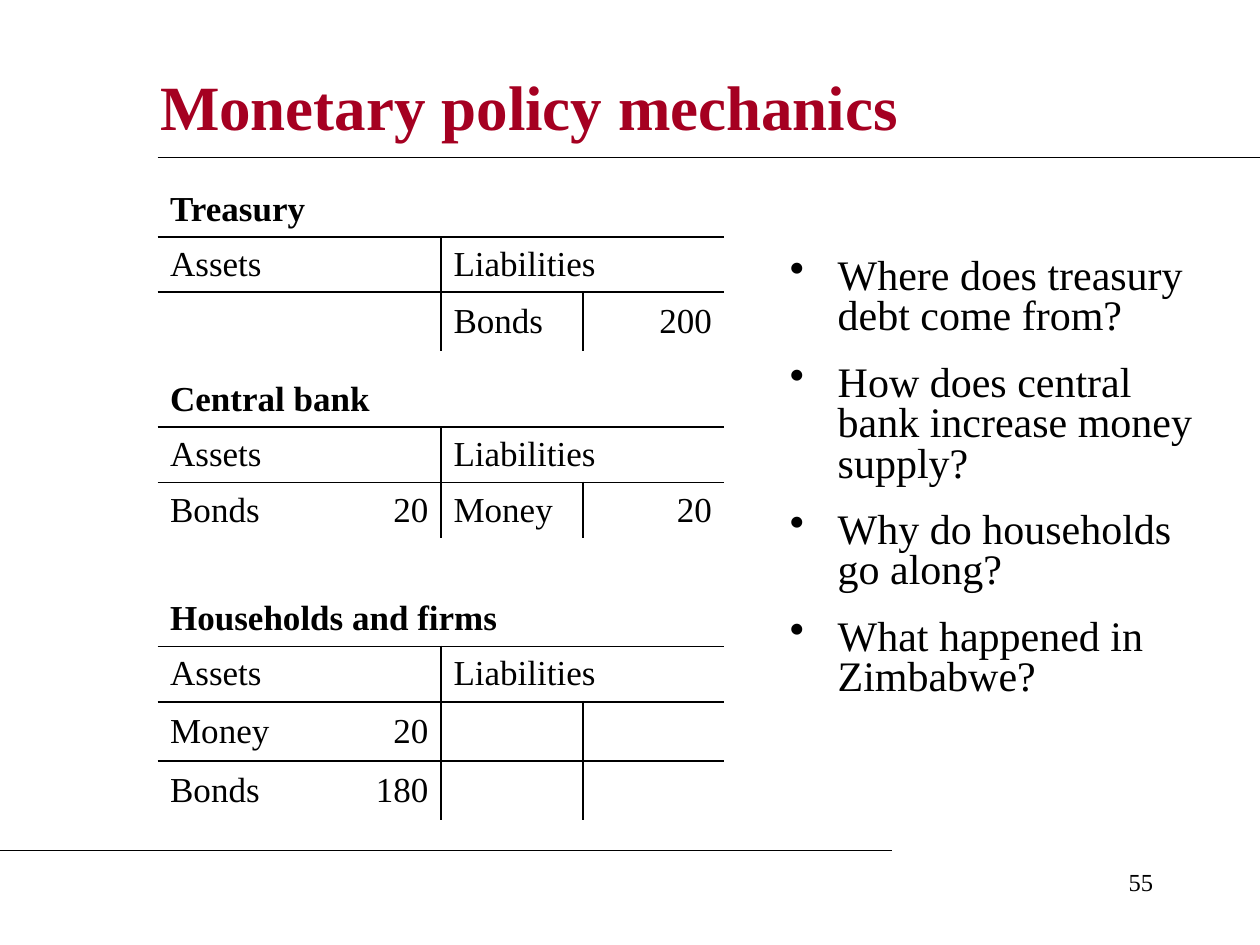
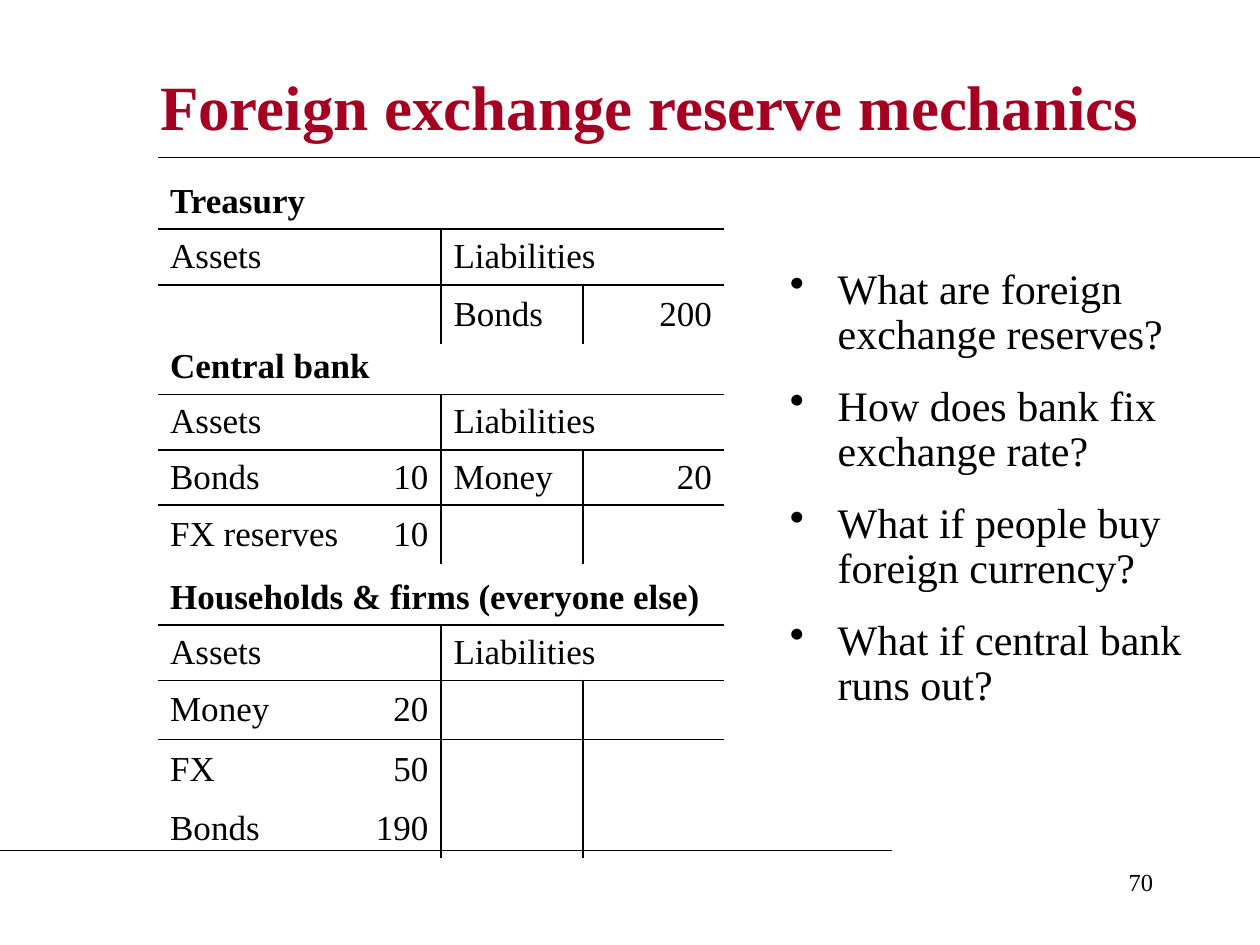
from lxml.etree import SubElement
from pptx import Presentation
from pptx.dml.color import RGBColor
from pptx.enum.shapes import MSO_CONNECTOR
from pptx.enum.text import MSO_ANCHOR, MSO_AUTO_SIZE, PP_ALIGN
from pptx.oxml.ns import qn
from pptx.util import Inches, Pt

BLACK = RGBColor(0x00, 0x00, 0x00)
CRIMSON = RGBColor(0xA5, 0x00, 0x21)
FONT = "Times New Roman"
NO_STYLE_NO_GRID = "{2D5ABB26-0587-4C30-8999-92F81FD0307C}"

ACCOUNT_LEFT, ACCOUNT_WIDTH = 1.25, 4.5
COLUMNS = (1.48, 0.77, 1.13, 1.12)
WIDE_ASSET_COLUMNS = (1.67, 0.58, 1.13, 1.12)
ROW_HEIGHT, HALF_EMPTY_ROW_HEIGHT = 0.44, 0.47
NO_ENTRY = ("", "")
BONDS_ISSUED = [NO_ENTRY + ("Bonds", "200")]


def add_run(paragraph, text, size, color=BLACK, bold=False):
    run = paragraph.add_run()
    run.text = text
    font = run.font
    font.name, font.size, font.bold = FONT, Pt(size), bold
    font.color.rgb = color


def add_rule(slide, left, right, y):
    rule = slide.shapes.add_connector(
        MSO_CONNECTOR.STRAIGHT, Inches(left), Inches(y), Inches(right), Inches(y))
    rule.line.color.rgb = BLACK
    rule.line.width = Pt(0.75)
    SubElement(rule._element.spPr, qn("a:effectLst"))


def add_text_box(slide, left, top, width, height):
    box = slide.shapes.add_textbox(
        Inches(left), Inches(top), Inches(width), Inches(height))
    box.text_frame.word_wrap = True
    return box.text_frame


def add_framed_slide(prs, heading, page):
    """Add a slide with its title, two rules and page number."""
    slide = prs.slides.add_slide(prs.slide_layouts[5])
    title = slide.shapes.title
    title.left, title.top = Inches(1.17), Inches(0.42)
    title.width, title.height = Inches(8.08), Inches(0.83)
    frame = title.text_frame
    frame.auto_size = MSO_AUTO_SIZE.NONE
    frame.vertical_anchor = MSO_ANCHOR.MIDDLE
    frame.paragraphs[0].alignment = PP_ALIGN.LEFT
    add_run(frame.paragraphs[0], heading, 36, CRIMSON, bold=True)

    add_rule(slide, 1.25, 10, 1.25)
    add_rule(slide, 0, 7.08, 6.75)
    number = add_text_box(slide, 7.17, 6.83, 2.08, 0.5).paragraphs[0]
    number.alignment = PP_ALIGN.RIGHT
    add_run(number, str(page), 14)
    return slide


def set_borders(cell, sides):
    """Draw the cell edges named in sides, a string of L, R, T and B."""
    properties = cell._tc.get_or_add_tcPr()
    for side in "LRTB":
        if side in sides:
            edge = SubElement(properties, qn(f"a:ln{side}"), w=str(Pt(1.08)))
            fill = SubElement(edge, qn("a:solidFill"))
            SubElement(fill, qn("a:srgbClr"), val=str(BLACK))


def account_borders(row, column):
    """Rule off the two heading rows and divide assets from liabilities."""
    sides = "B" if row < 2 else ""
    if row in (1, 2):
        sides += "T"
    if row > 0:
        sides += {1: "R", 2: "L"}.get(column, "")
    if (row, column) == (1, 0):
        sides += "R"
    return sides


def add_t_account(slide, holder, top, entries, columns=COLUMNS):
    """Entries are rows of asset, amount, liability, amount."""
    rows = [(holder, "", "", ""), ("Assets", "", "Liabilities", ""), *entries]
    heights = [ROW_HEIGHT] * 2 + [
        ROW_HEIGHT if all(entry) else HALF_EMPTY_ROW_HEIGHT for entry in entries]
    account = slide.shapes.add_table(
        len(rows), len(columns), Inches(ACCOUNT_LEFT), Inches(top),
        Inches(ACCOUNT_WIDTH), Inches(sum(heights))).table
    account.first_row = account.horz_banding = False
    account._tbl.tblPr.find(qn("a:tableStyleId")).text = NO_STYLE_NO_GRID
    for column, width in zip(account.columns, columns):
        column.width = Inches(width)
    for row, height in zip(account.rows, heights):
        row.height = Inches(height)

    for r, texts in enumerate(rows):
        for c, text in enumerate(texts):
            cell = account.cell(r, c)
            set_borders(cell, account_borders(r, c))
            cell.fill.background()
            cell.vertical_anchor = MSO_ANCHOR.MIDDLE
            if text:
                paragraph = cell.text_frame.paragraphs[0]
                paragraph.alignment = PP_ALIGN.RIGHT if c % 2 else PP_ALIGN.LEFT
                add_run(paragraph, text, 20, bold=r == 0)
    account.cell(0, 0).merge(account.cell(0, 3))
    for c in (0, 2):
        account.cell(1, c).merge(account.cell(1, c + 1))


def add_questions(slide, top, height, line_spacing, questions):
    frame = add_text_box(slide, 6.17, top, 3.42, height)
    for i, question in enumerate(questions):
        paragraph = frame.paragraphs[0] if i == 0 else frame.add_paragraph()
        properties = paragraph._p.get_or_add_pPr()
        properties.set("marL", str(Inches(0.38)))
        properties.set("indent", str(-Inches(0.38)))
        SubElement(properties, qn("a:buChar"), char="•")
        paragraph.line_spacing = line_spacing
        if i:
            paragraph.space_before = Pt(15)
        add_run(paragraph, question, 24)


def add_monetary_policy(prs):
    slide = add_framed_slide(prs, "Monetary policy mechanics", 55)
    add_t_account(slide, "Treasury", 1.44, BONDS_ISSUED)
    add_t_account(slide, "Central bank", 2.95, [("Bonds", "20", "Money", "20")])
    add_t_account(slide, "Households and firms", 4.69, [
        ("Money", "20") + NO_ENTRY,
        ("Bonds", "180") + NO_ENTRY,
    ])
    add_questions(slide, 2, 3.88, 0.8, [
        "Where does treasury debt come from?",
        "How does central bank increase money supply?",
        "Why do households go along?",
        "What happened in Zimbabwe?",
    ])


def add_foreign_exchange(prs):
    slide = add_framed_slide(prs, "Foreign exchange reserve mechanics", 70)
    add_t_account(slide, "Treasury", 1.38, BONDS_ISSUED)
    add_t_account(slide, "Central bank", 2.69, [
        ("Bonds", "10", "Money", "20"),
        ("FX reserves", "10") + NO_ENTRY,
    ], WIDE_ASSET_COLUMNS)
    add_t_account(slide, "Households & firms (everyone else)", 4.52, [
        ("Money", "20") + NO_ENTRY,
        ("FX", "50") + NO_ENTRY,
        ("Bonds", "190") + NO_ENTRY,
    ])
    add_questions(slide, 2.08, 4.17, 0.9, [
        "What are foreign exchange reserves?",
        "How does bank fix exchange rate?",
        "What if people buy foreign currency?",
        "What if central bank runs out?",
    ])


def main():
    prs = Presentation()
    prs.slide_width, prs.slide_height = Inches(10), Inches(7.5)
    add_monetary_policy(prs)
    add_foreign_exchange(prs)
    prs.save("out.pptx")


if __name__ == "__main__":
    main()
